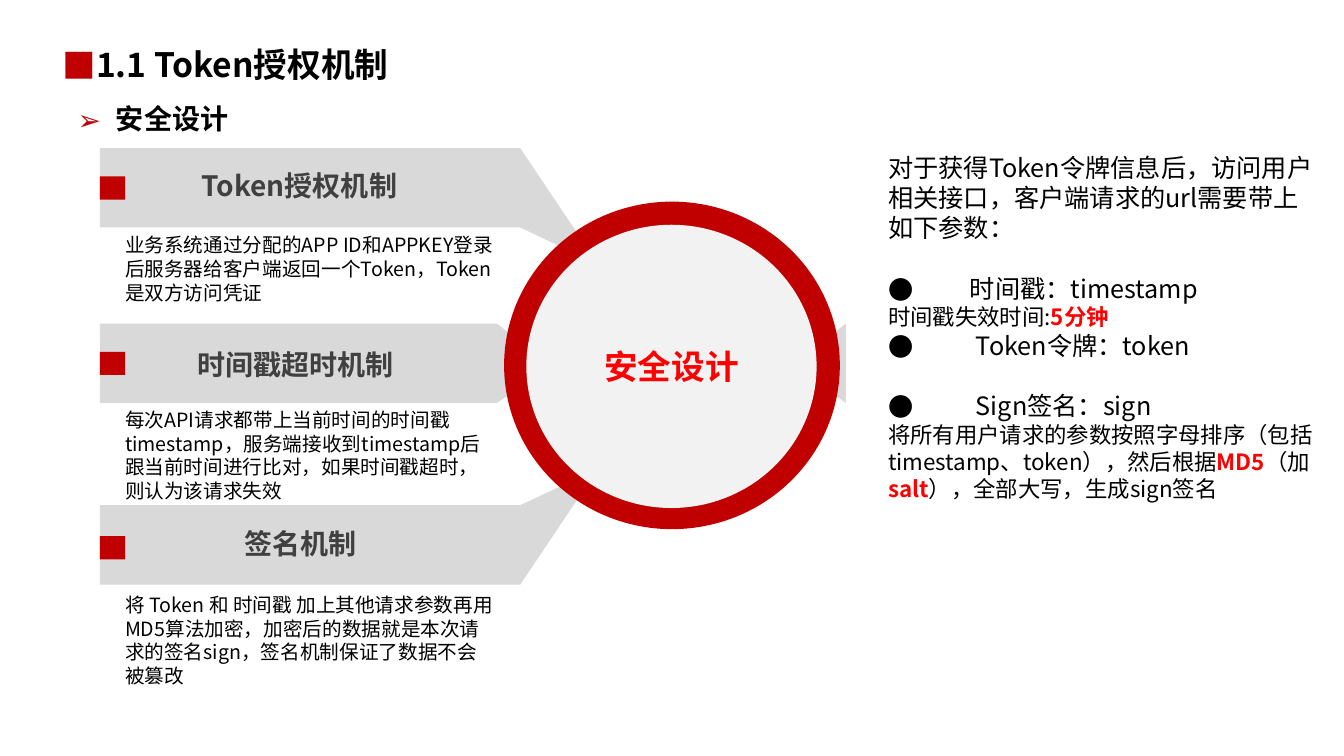
from dataclasses import dataclass
from typing import Any, NamedTuple

from lxml.etree import SubElement
from pptx import Presentation
from pptx.dml.color import RGBColor
from pptx.enum.shapes import MSO_SHAPE
from pptx.enum.text import MSO_ANCHOR, MSO_AUTO_SIZE, PP_ALIGN
from pptx.oxml.ns import qn
from pptx.util import Emu, Inches, Pt

FONT = "Noto Sans CJK SC"
HUES = {"red": "C00000", "hot": "FF0000", "band": "D9D9D9",
        "disc": "F2F2F2", "head": "404040", "ink": "000000"}
WIDE, HIGH = Inches(13.33), Inches(7.5)


class Run(NamedTuple):
    text: str
    size: int
    hue: str = "ink"
    bold: bool = False


@dataclass
class Para:
    runs: list[Run]
    bullet: str = ""
    tint: str = "ink"
    hang: float = 0  # inches
    lead: float = 1
    gap: float = 0  # points before
    align: Any = PP_ALIGN.LEFT


class Box(NamedTuple):
    """Left, top, width and height in percent of the slide."""
    left: float
    top: float
    width: float
    height: float


@dataclass
class Step:
    top: float
    mark: float
    head: tuple[float, float]
    title: str
    note: tuple[float, float]
    text: str


def across(share: float) -> Emu:
    return Emu(round(WIDE * share / 100))


def down(share: float) -> Emu:
    return Emu(round(HIGH * share / 100))


def span(box: Box) -> tuple[Emu, Emu, Emu, Emu]:
    return across(box.left), down(box.top), across(box.width), down(box.height)


def apply(item: Any, values: dict[str, Any]) -> None:
    for name, value in values.items():
        setattr(item, name, value)


def paint(shape: Any, hue: str) -> Any:
    shape.shadow.inherit = False
    shape.fill.solid()
    shape.fill.fore_color.rgb = RGBColor.from_string(HUES[hue])
    shape.line.fill.background()
    return shape


def draw(kind: Any, box: Box, hue: str) -> Any:
    return paint(slide.shapes.add_shape(kind, *span(box)), hue)


def outline(points: list[tuple[float, float]], hue: str) -> None:
    first, *rest = [(across(x), down(y)) for x, y in points]
    path = slide.shapes.build_freeform(*first)
    path.add_line_segments(rest, close=True)
    paint(path.convert_to_shape(), hue)


def mark(para: Any, data: Para) -> None:
    props = para._p.get_or_add_pPr()
    props.set("marL", str(Inches(data.hang)))
    props.set("indent", str(-Inches(data.hang)))
    if not data.bullet:
        SubElement(props, qn("a:buNone"))
        return
    tone = SubElement(props, qn("a:buClr"))
    SubElement(tone, qn("a:srgbClr"), val=HUES[data.tint])
    SubElement(props, qn("a:buFont"), typeface=FONT)
    SubElement(props, qn("a:buChar"), char=data.bullet)


def write(shape: Any, paras: list[Para], anchor: Any = MSO_ANCHOR.MIDDLE,
          side: float = 0.1) -> None:
    frame = shape.text_frame
    apply(frame, {"word_wrap": True, "auto_size": MSO_AUTO_SIZE.NONE,
                  "vertical_anchor": anchor,
                  "margin_left": Inches(side), "margin_right": Inches(side)})
    for i, data in enumerate(paras):
        para = frame.add_paragraph() if i else frame.paragraphs[0]
        apply(para, {"alignment": data.align, "line_spacing": data.lead,
                     "space_before": Pt(data.gap), "space_after": Pt(0)})
        mark(para, data)
        for part in data.runs:
            run = para.add_run()
            run.text = part.text
            apply(run.font, {"size": Pt(part.size), "bold": part.bold, "name": FONT})
            run.font.color.rgb = RGBColor.from_string(HUES[part.hue])
            SubElement(run.font._element, qn("a:ea"), typeface=FONT)


def fill(index: int, box: Box, paras: list[Para], anchor: Any = MSO_ANCHOR.MIDDLE) -> None:
    holder = slide.placeholders[index]
    apply(holder, dict(zip(("left", "top", "width", "height"), span(box))))
    write(holder, paras, anchor)


def label(box: Box, para: Para, anchor: Any) -> None:
    write(slide.shapes.add_textbox(*span(box)), [para], anchor, 0)


deck = Presentation()
apply(deck, {"slide_width": WIDE, "slide_height": HIGH})
slide = deck.slides.add_slide(deck.slide_layouts[3])

# Title, subtitle and parameter list
fill(0, Box(3.9, 3.07, 69.1, 8.13),
     [Para([Run("1.1 Token授权机制", 24, bold=True)], "■", "red", 0.31, 1.5)])
fill(1, Box(5.03, 10.13, 32.26, 8.93),
     [Para([Run("安全设计", 20, bold=True)], "➢", "red", 0.38, 1.5)])
fill(2, Box(65.34, 19.47, 33.68, 48.53), [
    Para([Run("对于获得Token令牌信息后，访问用户相关接口，客户端请求的url需要带上如下参数：", 18)]),
    Para([Run("时间戳：timestamp", 18)], "●", hang=0.81, gap=21.6),
    Para([Run("时间戳失效时间:", 16), Run("5分钟", 16, "hot", True)]),
    Para([Run("Token令牌：token", 18)], "●", hang=0.87),
    Para([Run("Sign签名：sign", 18)], "●", hang=0.87, gap=21.6),
    Para([Run("将所有用户请求的参数按照字母排序（包括timestamp、token），然后根据", 16),
          Run("MD5", 16, "hot", True), Run("（加", 16), Run("salt", 16, "hot", True),
          Run("），全部大写，生成sign签名", 16)]),
], MSO_ANCHOR.TOP)

# Arms that run to the ring: the lower and right ones are mirrored
EDGE, TALL = 7.43, 10.5
SLANT = [(38.71, 19.6), (43.59, 32.53), (42.91, 33.6), (38.71, 30.1)]
STUB = [(36.98, 42.8), (40.21, 47.33), (40.21, 49.33), (36.98, 53.3)]
for arm in (SLANT, [(x, 96.93 - y) for x, y in SLANT],
            STUB, [(99.92 - x, y) for x, y in STUB]):
    outline(arm, "band")

# Three mechanisms
STEPS = [
    Step(19.6, 23.33, (10.05, 21.6), "Token授权机制", (31.07, 8.93),
         "业务系统通过分配的APP ID和APPKEY登录后服务器给客户端返回一个Token，Token是双方访问凭证"),
    Step(42.8, 46.53, (9.75, 45.33), "时间戳超时机制", (53.73, 12.93),
         "每次API请求都带上当前时间的时间戳timestamp，服务端接收到timestamp后跟当前时间进行比对，"
         "如果时间戳超时，则认为该请求失效"),
    Step(66.83, 70.93, (10.13, 68.93), "签名机制", (78.4, 12.53),
         "将 Token 和 时间戳 加上其他请求参数再用MD5算法加密，加密后的数据就是本次请求的签名sign，"
         "签名机制保证了数据不会被篡改"),
]
for step, (tip, _) in zip(STEPS, (SLANT[0], STUB[0], SLANT[0])):
    draw(MSO_SHAPE.RECTANGLE, Box(EDGE, step.top, tip - EDGE, TALL), "band")
    draw(MSO_SHAPE.RECTANGLE, Box(EDGE, step.mark, 1.88, 3.07), "red")
    label(Box(*step.head, 24.46, 6.27),
          Para([Run(step.title, 20, "head", True)], align=PP_ALIGN.CENTER), MSO_ANCHOR.TOP)
    top, tall = step.note
    label(Box(9.3, top, 27.53, tall), Para([Run(step.text, 14)]), MSO_ANCHOR.MIDDLE)

# Ring and hub
draw(MSO_SHAPE.OVAL, Box(37.51, 26.67, 24.98, 43.33), "red")
hub = draw(MSO_SHAPE.OVAL, Box(39.16, 29.73, 21.6, 37.47), "disc")
write(hub, [Para([Run("安全设计", 24, "hot", True)], align=PP_ALIGN.CENTER)])

deck.save("out.pptx")
